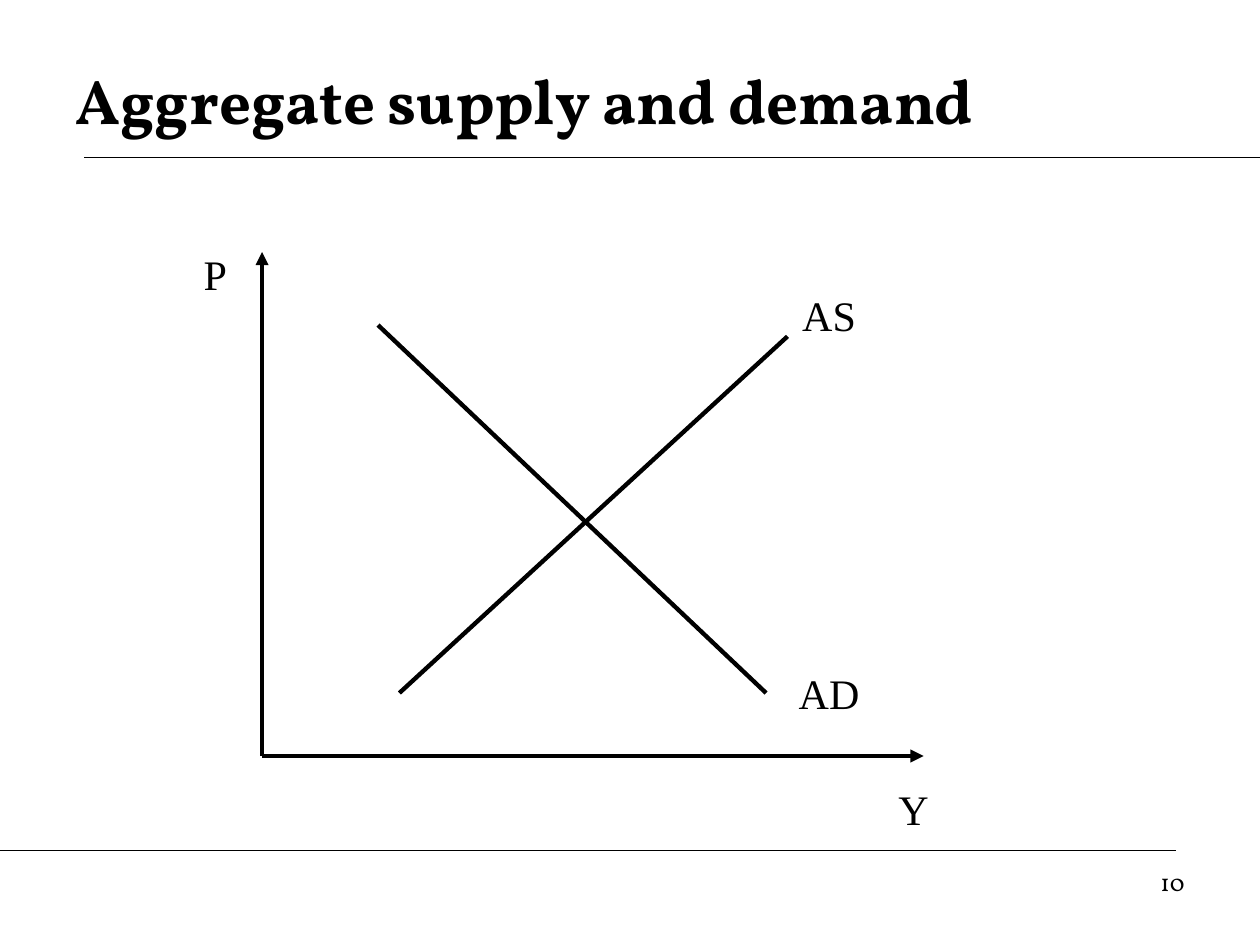
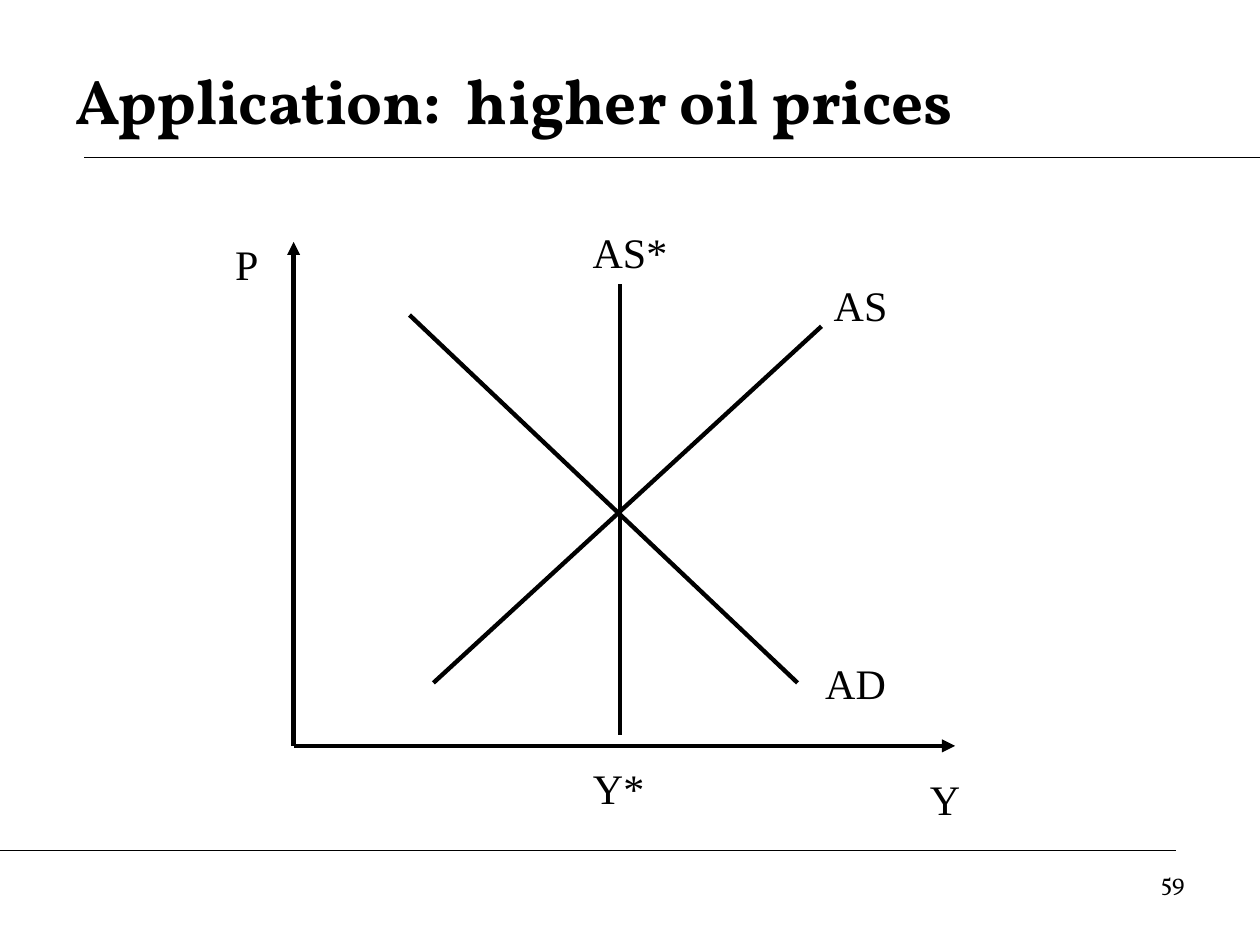
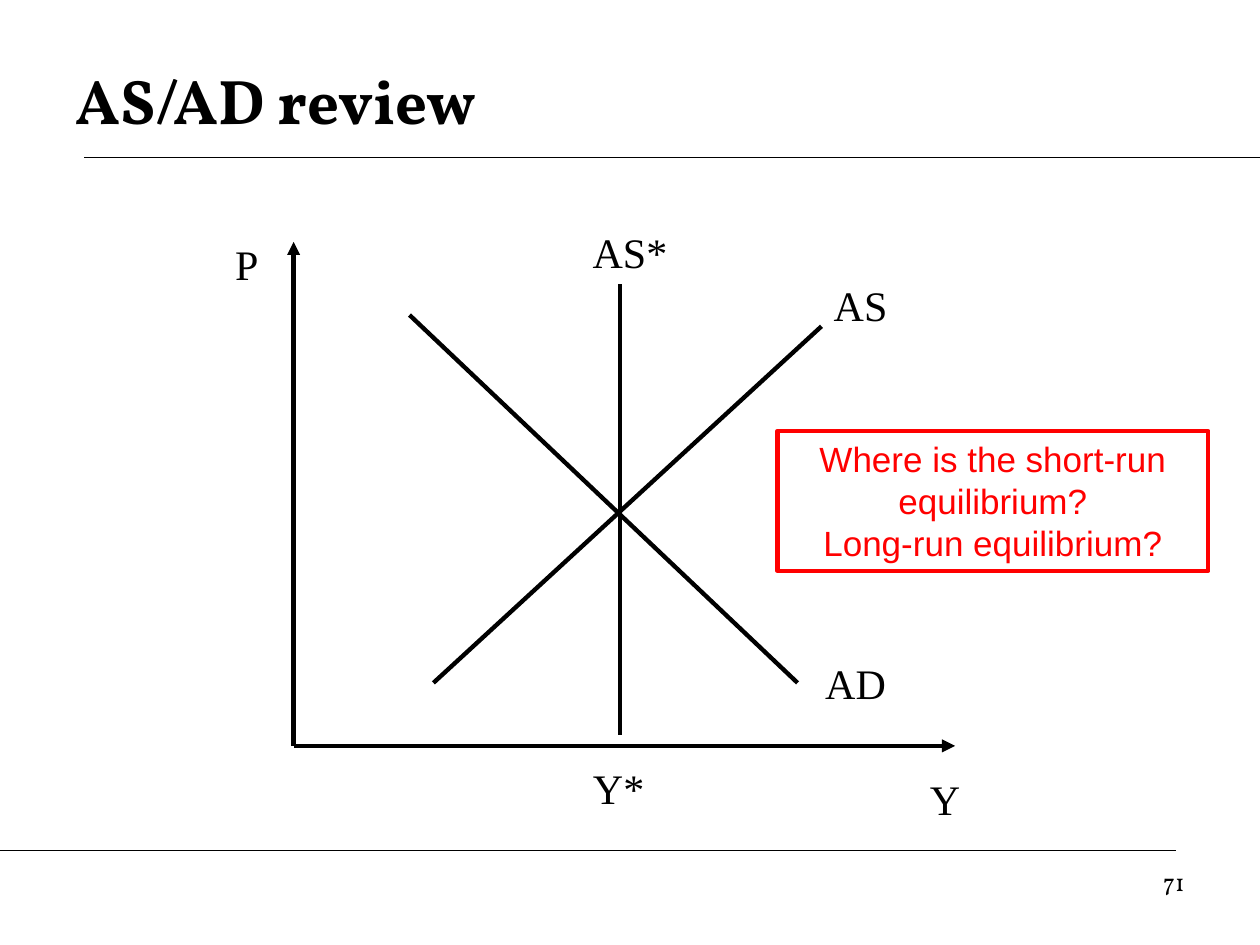
"""Build three aggregate supply and demand slides."""
from dataclasses import dataclass

from lxml import etree
from pptx import Presentation
from pptx.dml.color import RGBColor
from pptx.enum import shapes, text
from pptx.oxml.ns import qn
from pptx.util import Inches, Pt

LEFT, CENTER, RIGHT = text.PP_ALIGN.LEFT, text.PP_ALIGN.CENTER, text.PP_ALIGN.RIGHT


@dataclass(frozen=True)
class Theme:
    """Colours, line widths and text formats shared by the slides."""

    ink = RGBColor(0x00, 0x00, 0x00)
    accent = RGBColor(0xFF, 0x00, 0x00)
    rule_width = Pt(0.75)
    curve_width = Pt(2.5)
    title = {"name": "Vollkorn", "size": Pt(36), "bold": True}
    number = {"name": "Vollkorn", "size": Pt(14)}
    label = {"name": "Times New Roman", "size": Pt(24)}
    question = {"name": "Arial", "size": Pt(20)}


THEME = Theme()


def write(frame, lines, formats, align, color=THEME.ink):
    """Fill a text frame with one formatted paragraph per line."""
    frame.word_wrap = True
    for index, line in enumerate(lines):
        paragraph = frame.paragraphs[0] if index == 0 else frame.add_paragraph()
        paragraph.alignment = align
        run = paragraph.add_run()
        run.text = line
        for key, value in formats.items():
            setattr(run.font, key, value)
        run.font.color.rgb = color


def add_text(parent, words, box, formats, align):
    """Add a text box at left, top, width and height in inches."""
    frame = parent.shapes.add_textbox(*map(Inches, box)).text_frame
    write(frame, [words], formats, align)
    return frame


def add_line(parent, start, end, width=THEME.curve_width, arrow=False):
    """Draw a straight line, with an arrowhead at its end if asked."""
    line = parent.shapes.add_connector(
        shapes.MSO_CONNECTOR.STRAIGHT, *map(Inches, (*start, *end)))
    line.line.color.rgb = THEME.ink
    line.line.width = width
    if arrow:
        etree.SubElement(line.line._get_or_add_ln(), qn("a:tailEnd"), type="triangle")
    etree.SubElement(line._element.spPr, qn("a:effectLst"))


def add_page(deck, title, number):
    """Add a slide with its rules, title and number."""
    page = deck.slides.add_slide(deck.slide_layouts[6])
    add_line(page, (0.67, 1.25), (10, 1.25), THEME.rule_width)
    add_line(page, (0, 6.75), (9.33, 6.75), THEME.rule_width)
    heading = add_text(page, title, (0.5, 0.33, 9, 0.92), THEME.title, LEFT)
    heading.vertical_anchor = text.MSO_ANCHOR.MIDDLE
    add_text(page, str(number), (7.17, 6.83, 2.33, 0.52), THEME.number, RIGHT)
    return page


def add_diagram(page, origin, supply_start=1.11, demand_label=4.46, long_run=True):
    """Draw axes and curves, placed relative to the origin of the axes."""
    diagram = page.shapes.add_group_shape()

    def at(x, y):
        return origin[0] + x, origin[1] - y

    axes = [((0, 0), (5.25, 0)), ((0, 0), (0, 4))]
    curves = [((supply_start, 0.5), (supply_start + 3.08, 3.33)),
              ((4, 0.5), (0.92, 3.42))]
    labels = [("Y", 5.17, -0.17), ("P", -0.37, 4.08),
              ("AS", 4.5, 3.75), ("AD", demand_label, 0.75)]
    if long_run:
        curves.append(((2.59, 0.09), (2.59, 3.67)))
        labels += [("AS*", 2.67, 4.17), ("Y*", 2.58, -0.08)]

    for start, end in axes:
        add_line(diagram, at(*start), at(*end), arrow=True)
    for start, end in curves:
        add_line(diagram, at(*start), at(*end))
    width = 0.9
    for name, middle, top in labels:
        box = (*at(middle - width / 2, top), width, 0.5)
        add_text(diagram, name, box, THEME.label, CENTER)


def add_question(page, lines, box):
    """Add a framed question."""
    question = page.shapes.add_shape(
        shapes.MSO_SHAPE.RECTANGLE, *map(Inches, box))
    question.shadow.inherit = False
    question.fill.background()
    question.line.color.rgb = THEME.accent
    question.line.width = THEME.curve_width
    write(question.text_frame, lines, THEME.question, CENTER, THEME.accent)
    question.text_frame.vertical_anchor = text.MSO_ANCHOR.TOP


def main():
    """Build and save the slides."""
    deck = Presentation()
    deck.slide_width, deck.slide_height = Inches(10), Inches(7.5)

    basics = add_page(deck, "Aggregate supply and demand", 10)
    add_diagram(basics, (2.08, 6), supply_start=1.09, demand_label=4.5, long_run=False)

    oil_prices = add_page(deck, "Application:  higher oil prices", 59)
    add_diagram(oil_prices, (2.33, 5.92))

    review = add_page(deck, "AS/AD review", 71)
    add_diagram(review, (2.33, 5.92))
    add_question(review, ["Where is the short-run equilibrium?", "Long-run equilibrium?"],
                 (6.17, 3.42, 3.42, 1.11))

    deck.save("out.pptx")


if __name__ == "__main__":
    main()
